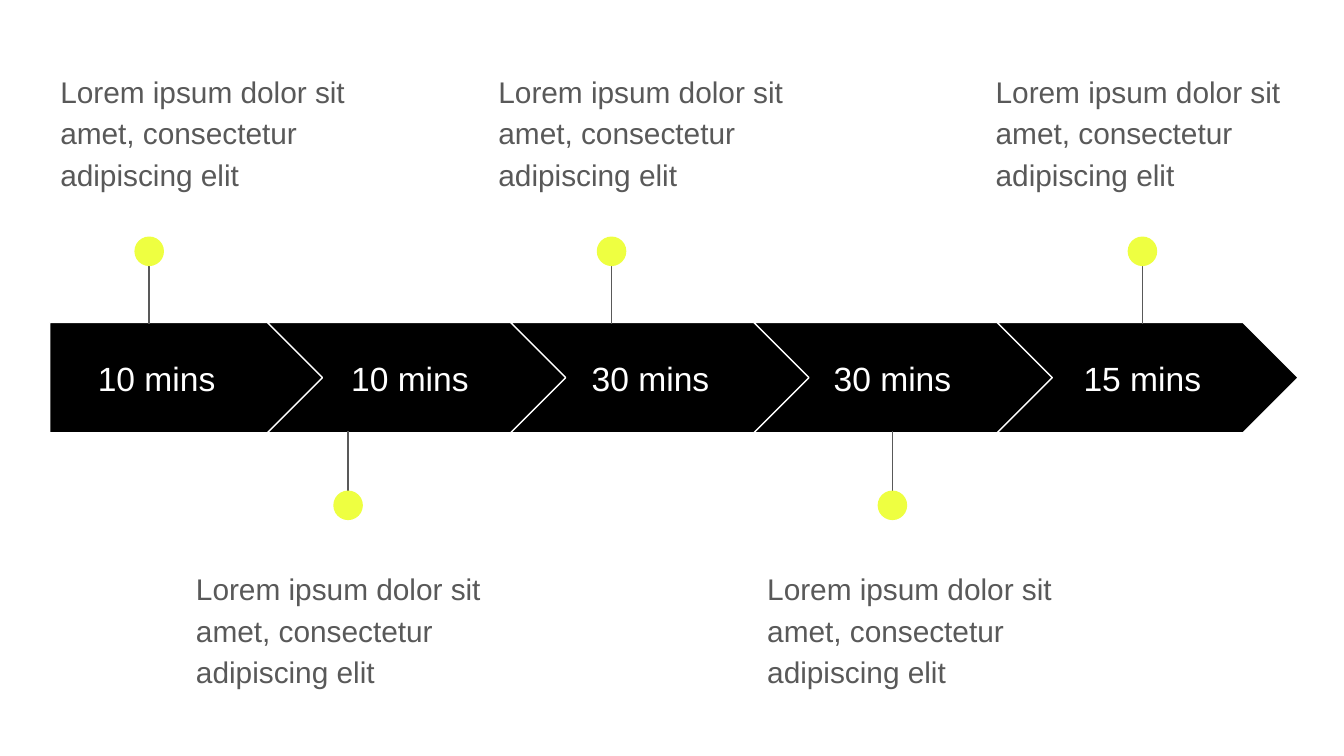
from lxml.etree import SubElement
from pptx import Presentation
from pptx.dml.color import RGBColor
from pptx.enum.shapes import MSO_CONNECTOR, MSO_SHAPE
from pptx.enum.text import MSO_ANCHOR, PP_ALIGN
from pptx.oxml.ns import qn
from pptx.util import Inches, Pt

COLORS = {"step": "000000", "light": "FFFFFF", "body": "595959", "accent": "EEFF41"}
DESCRIPTION = "Lorem ipsum dolor sit amet, consectetur adipiscing elit"
STEPS = [
    ("10 mins", 0.37, 1.59, 1.11, 0.35),
    ("10 mins", 2.33, 1.44, 2.59, 1.36),
    ("30 mins", 4.12, 1.44, 4.55, 3.61),
    ("30 mins", 5.92, 1.44, 6.64, 5.61),
    ("15 mins", 7.78, 1.44, 8.5, 7.31),
]
SLIDE_WIDTH = 10
CHEVRON_LEFT, CHEVRON_PITCH = 1.99, 1.81
BAR_TOP, BAR_HEIGHT = 2.4, 0.82
DOT_SIZE = 0.22


class TimelineSlide:
    """Draws timeline elements in one style on the current slide."""

    def __init__(self, slide, font="Arial"):
        self.slide = slide
        self.font = font

    def color(self, name):
        return RGBColor.from_string(COLORS[name])

    def shape(self, kind, left, top, width, height, fill, outline=None):
        shape = self.slide.shapes.add_shape(
            kind, Inches(left), Inches(top), Inches(width), Inches(height))
        shape.shadow.inherit = False
        shape.fill.solid()
        shape.fill.fore_color.rgb = self.color(fill)
        if outline:
            shape.line.color.rgb = self.color(outline)
            shape.line.width = Pt(0.75)
        else:
            shape.line.fill.background()
        return shape

    def text(self, text, left, top, width, height, size, color):
        box = self.slide.shapes.add_textbox(
            Inches(left), Inches(top), Inches(width), Inches(height))
        frame = box.text_frame
        frame.word_wrap = True
        frame.margin_left = frame.margin_right = Inches(0.1)
        frame.margin_top = frame.margin_bottom = Inches(0.1)
        frame.text = text
        font = frame.paragraphs[0].runs[0].font
        font.name = self.font
        font.size = Pt(size)
        font.color.rgb = self.color(color)
        return frame

    def duration(self, text, left, width):
        frame = self.text(text, left, 2.56, width, 0.51, 18, "light")
        frame.vertical_anchor = MSO_ANCHOR.MIDDLE
        frame.paragraphs[0].alignment = PP_ALIGN.CENTER

    def description(self, left, top):
        frame = self.text(DESCRIPTION, left, top, 2.45, 0.99, 16, "body")
        frame.paragraphs[0].line_spacing = 1.15
        frame.paragraphs[0].space_after = Pt(16)

    def line(self, x, start, end):
        connector = self.slide.shapes.add_connector(
            MSO_CONNECTOR.STRAIGHT, Inches(x), Inches(start), Inches(x), Inches(end))
        connector.line.color.rgb = self.color("body")
        connector.line.width = Pt(0.75)
        SubElement(connector._element.spPr, qn("a:effectLst"))

    def pin(self, x, above):
        start, end, dot_top = (1.8, 2.41, 1.76) if above else (3.82, 3.21, 3.65)
        self.line(x, start, end)
        self.shape(MSO_SHAPE.OVAL, x - DOT_SIZE / 2, dot_top, DOT_SIZE, DOT_SIZE, "accent")

    def arrow(self, index):
        if index == 0:
            kind, left, width = MSO_SHAPE.PENTAGON, 0.37, 2.05
        else:
            kind, width = MSO_SHAPE.CHEVRON, 2.24
            left = CHEVRON_LEFT + (index - 1) * CHEVRON_PITCH
        arrow = self.shape(kind, left, BAR_TOP, width, BAR_HEIGHT, "step", "light")
        arrow.adjustments[0] = 0.5


def main():
    presentation = Presentation()
    presentation.slide_width = Inches(SLIDE_WIDTH)
    presentation.slide_height = Inches(SLIDE_WIDTH * 9 / 16)
    timeline = TimelineSlide(presentation.slides.add_slide(presentation.slide_layouts[6]))
    for index, (duration, label_left, label_width, pin_x, text_left) in enumerate(STEPS):
        above = index % 2 == 0
        timeline.arrow(index)
        timeline.duration(duration, label_left, label_width)
        timeline.pin(pin_x, above)
        timeline.description(text_left, 0.41 if above else 4.11)
    presentation.save("out.pptx")


if __name__ == "__main__":
    main()
